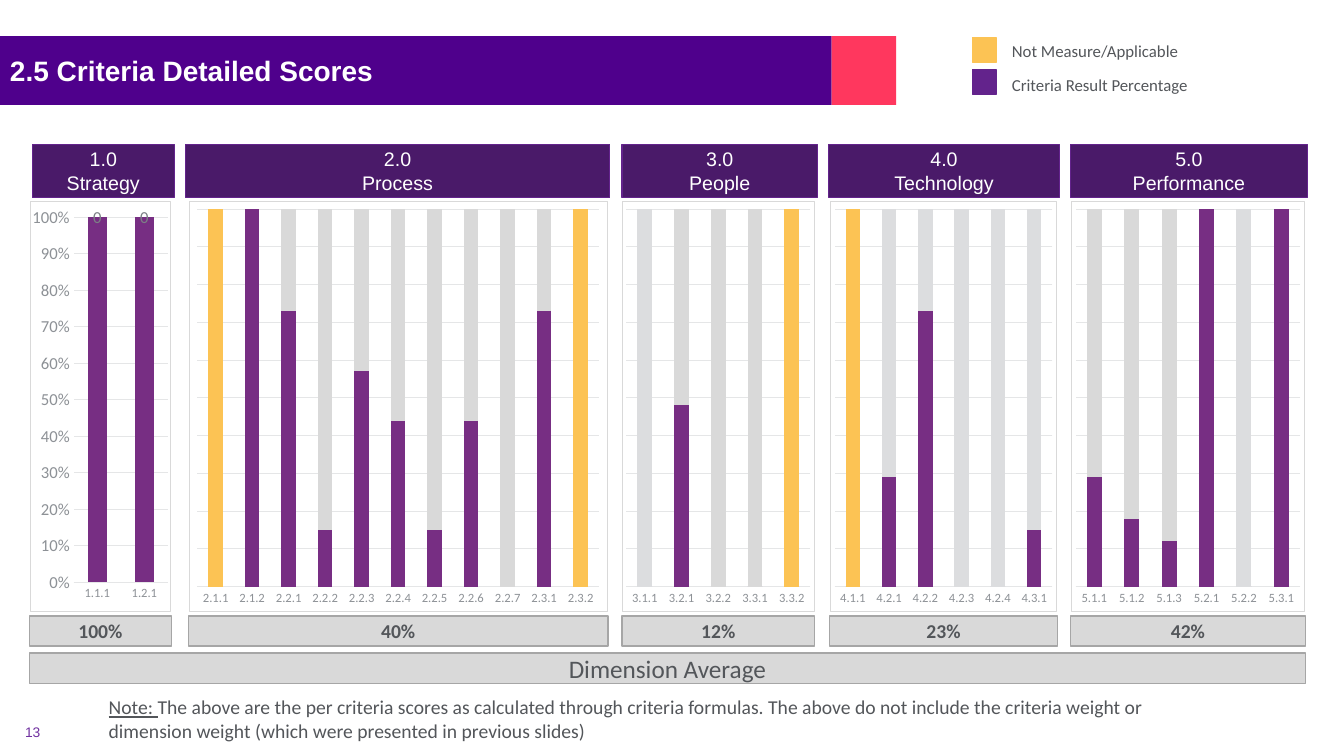
from lxml import etree
from pptx import Presentation
from pptx.chart.data import CategoryChartData
from pptx.dml.color import RGBColor
from pptx.enum.chart import XL_CHART_TYPE, XL_TICK_MARK
from pptx.enum.shapes import MSO_SHAPE
from pptx.enum.text import MSO_ANCHOR, PP_ALIGN
from pptx.oxml import parse_xml
from pptx.oxml.ns import nsdecls, qn
from pptx.util import Inches, Pt

STACKED_100 = XL_CHART_TYPE.COLUMN_STACKED_100
NO_TICK = XL_TICK_MARK.NONE
RECTANGLE = MSO_SHAPE.RECTANGLE
TOP, MIDDLE = MSO_ANCHOR.TOP, MSO_ANCHOR.MIDDLE
LEFT, CENTER = PP_ALIGN.LEFT, PP_ALIGN.CENTER

WHITE = RGBColor(0xFF, 0xFF, 0xFF)
TITLE_VIOLET = RGBColor(0x4F, 0x00, 0x8C)
TITLE_RED = RGBColor(0xFF, 0x37, 0x5E)
HEADER_PURPLE = RGBColor(0x4A, 0x1A, 0x69)
EDGE_PURPLE = RGBColor(0x63, 0x23, 0x8C)
SCORE_PURPLE = RGBColor(0x77, 0x2E, 0x83)
NUMBER_PURPLE = RGBColor(0x70, 0x30, 0xA0)
AMBER = RGBColor(0xFC, 0xC3, 0x54)
LIGHT_GRAY = RGBColor(0xD9, 0xD9, 0xD9)
PALE_GRAY = RGBColor(0xDC, 0xDD, 0xDF)
BOX_EDGE = RGBColor(0xA6, 0xA6, 0xA6)
GRID_GRAY = RGBColor(0xE5, 0xE6, 0xE7)
AXIS_GRAY = RGBColor(0x8D, 0x91, 0x96)
LABEL_GRAY = RGBColor(0x7C, 0x80, 0x86)
INK = RGBColor(0x53, 0x56, 0x5A)

HEADING, BODY = "Arial", "Calibri"

HEADER_ROW = (19.07, 7.07)
CHART_ROW = (26.53, 54.4)
AVERAGE_ROW = (81.47, 4)
TOTAL_ROW = (86.4, 4)

DIMENSIONS = [
    dict(title=["1.0", "Strategy"], header=(2.4, 10.58), column=(2.2, 10.55), average="100%",
         scores={"1.1.1": 100, "1.2.1": 100}, rest=AMBER, points={}, scale=True),
    dict(title=["2.0", "Process"], header=(13.8, 31.58), column=(14.03, 31.2), average="40%",
         scores={"2.1.1": 0, "2.1.2": 100, "2.2.1": 73, "2.2.2": 15, "2.2.3": 57, "2.2.4": 44,
                 "2.2.5": 15, "2.2.6": 44, "2.2.7": 0, "2.3.1": 73, "2.3.2": 0},
         rest=LIGHT_GRAY, points={0: AMBER, 10: AMBER}, scale=False),
    dict(title=["3.0", "People"], header=(46.28, 14.55), column=(46.28, 14.33), average="12%",
         scores={"3.1.1": 0, "3.2.1": 48, "3.2.2": 0, "3.3.1": 0, "3.3.2": 0},
         rest=LIGHT_GRAY, points={0: PALE_GRAY, 4: AMBER}, scale=False),
    dict(title=["4.0", "Technology"], header=(61.65, 17.18), column=(61.73, 16.95), average="23%",
         scores={"4.1.1": 0, "4.2.1": 29, "4.2.2": 73, "4.2.3": 0, "4.2.4": 0, "4.3.1": 15},
         rest=PALE_GRAY, points={0: AMBER}, scale=False),
    dict(title=["5.0", "Performance"], header=(79.65, 17.63), column=(79.65, 17.48), average="42%",
         scores={"5.1.1": 29, "5.1.2": 18, "5.1.3": 12, "5.2.1": 100, "5.2.2": 0, "5.3.1": 100},
         rest=LIGHT_GRAY, points={4: PALE_GRAY, 5: AMBER}, scale=False),
]
LEGEND = [(4.93, 4.67, AMBER, "Not Measure/Applicable"),
          (9.2, 9.2, EDGE_PURPLE, "Criteria Result Percentage")]
NOTE = ("The above are the per criteria scores as calculated through criteria formulas. "
        "The above do not include the criteria weight or dimension weight "
        "(which were presented in previous slides)")


class ScoreSlide:
    """Draws scorecard elements placed by percent of the slide's width and height."""

    def __init__(self, deck):
        self.width, self.height = deck.slide_width, deck.slide_height
        self.shapes = deck.slides.add_slide(deck.slide_layouts[6]).shapes

    def place(self, across, down):
        (x, w), (y, h) = across, down
        return [int(share * side / 100) for share, side in
                ((x, self.width), (y, self.height), (w, self.width), (h, self.height))]

    def style(self, target, values):
        for name, value in values.items():
            setattr(target, name, value)

    def font(self, font, size, color, name=BODY, **values):
        self.style(font, dict(size=Pt(size), name=name, **values))
        font.color.rgb = color

    def line(self, line, color, width=0.75):
        line.color.rgb = color
        line.width = Pt(width)

    def fill(self, fill, color):
        fill.solid()
        fill.fore_color.rgb = color

    def letter(self, frame, paragraphs, size, color, name=BODY, align=LEFT, anchor=MIDDLE, **values):
        self.style(frame, dict(word_wrap=True, vertical_anchor=anchor))
        for index, text in enumerate(paragraphs):
            paragraph = frame.add_paragraph() if index else frame.paragraphs[0]
            paragraph.alignment = align
            run = paragraph.add_run()
            run.text = text
            self.font(run.font, size, color, name, **values)

    def box(self, across, down, color, edge=None, width=1):
        shape = self.shapes.add_shape(RECTANGLE, *self.place(across, down))
        shape.shadow.inherit = False
        self.fill(shape.fill, color)
        if edge is None:
            shape.line.fill.background()
        else:
            self.line(shape.line, edge, width)
        return shape.text_frame

    def text(self, across, down, words, *args, **values):
        frame = self.shapes.add_textbox(*self.place(across, down)).text_frame
        self.letter(frame, [words], *args, **values)
        return frame

    def chart(self, across, scores, rest, points, scale):
        data = CategoryChartData(number_format="General")
        data.categories = list(scores)
        data.add_series("Series 1", list(scores.values()))
        data.add_series("Series 2", [100 - score for score in scores.values()])
        chart = self.shapes.add_chart(STACKED_100, *self.place(across, CHART_ROW), data).chart
        self.style(chart, dict(has_legend=False, has_title=False))
        self.font(chart.font, 10, INK)
        plot = chart.plots[0]
        self.style(plot, dict(gap_width=150, overlap=100, vary_by_categories=False))
        for series, color in zip(plot.series, (SCORE_PURPLE, rest)):
            self.fill(series.format.fill, color)
        for index, color in points.items():
            self.fill(plot.series[1].points[index].format.fill, color)
        for axis, size in ((chart.category_axis, 9), (chart.value_axis, 12)):
            self.style(axis, dict(major_tick_mark=NO_TICK, minor_tick_mark=NO_TICK))
            self.font(axis.tick_labels.font, size, AXIS_GRAY)
        self.line(chart.category_axis.format.line, GRID_GRAY)
        self.line(chart.value_axis.major_gridlines.format.line, GRID_GRAY)
        chart.value_axis.format.line.fill.background()
        self.style(chart.value_axis.tick_labels,
                   dict(number_format="0%", number_format_is_linked=False))
        chart.value_axis.visible = scale
        if scale:
            labels = plot.series[1].data_labels
            labels.show_value = True
            self.font(labels.font, 12, LABEL_GRAY)
        self.frame_chart(chart, (0.31, 0.04, 0.67, 0.89) if scale else (0.02, 0.02, 0.96, 0.92))

    def frame_chart(self, chart, plot_area):
        space = chart._chartSpace
        body = space.find(qn("c:chart"))
        body.addnext(parse_xml(
            f'<c:spPr {nsdecls("c", "a")}><a:solidFill><a:srgbClr val="{WHITE}"/></a:solidFill>'
            f'<a:ln w="9525"><a:solidFill><a:srgbClr val="{LIGHT_GRAY}"/></a:solidFill></a:ln></c:spPr>'))
        space.find(qn("c:date1904")).addnext(
            parse_xml(f'<c:roundedCorners {nsdecls("c")} val="0"/>'))
        area = body.find(qn("c:plotArea"))
        for old in area.findall(qn("c:layout")):
            area.remove(old)
        layout = etree.Element(qn("c:layout"))
        manual = etree.SubElement(layout, qn("c:manualLayout"))
        settings = dict(layoutTarget="inner", xMode="edge", yMode="edge", **dict(zip("xywh", plot_area)))
        for tag, value in settings.items():
            etree.SubElement(manual, qn(f"c:{tag}")).set("val", str(value))
        area.insert(0, layout)


def main():
    deck = Presentation()
    deck.slide_width, deck.slide_height = Inches(13.33), Inches(7.5)
    slide = ScoreSlide(deck)

    title = slide.box((0, 61.88), (4.8, 9.07), TITLE_VIOLET)
    slide.letter(title, ["2.5 Criteria Detailed Scores"], 20, WHITE, HEADING, bold=True)
    slide.box((61.88, 4.8), (4.8, 9.07), TITLE_RED)

    for swatch_top, label_top, color, label in LEGEND:
        slide.box((72.38, 1.73), (swatch_top, 3.33), color, color)
        slide.text((74.55, 16), (label_top, 4), label, 12, INK)

    for dimension in DIMENSIONS:
        header = slide.box(dimension["header"], HEADER_ROW, HEADER_PURPLE, EDGE_PURPLE, 0.75)
        slide.letter(header, dimension["title"], 14, WHITE, HEADING, CENTER)
        slide.chart(dimension["column"], *[dimension[key] for key in ("scores", "rest", "points", "scale")])
        average = slide.box(dimension["column"], AVERAGE_ROW, LIGHT_GRAY, BOX_EDGE)
        slide.letter(average, [dimension["average"]], 14, INK, align=CENTER, bold=True)

    total = slide.box((2.2, 94.93), TOTAL_ROW, LIGHT_GRAY, BOX_EDGE)
    slide.letter(total, ["Dimension Average"], 18, INK, align=CENTER)

    note = slide.text((7.35, 84.6), (91.33, 8), "Note: ", 14, INK, anchor=TOP, underline=True)
    explanation = note.paragraphs[0].add_run()
    explanation.text = NOTE
    slide.font(explanation.font, 14, INK)

    number = slide.text((1.13, 3.68), (95.47, 2.67), "13", 9.9, NUMBER_PURPLE, HEADING)
    slide.style(number, dict(margin_top=0, margin_bottom=0))

    deck.save("out.pptx")


if __name__ == "__main__":
    main()
